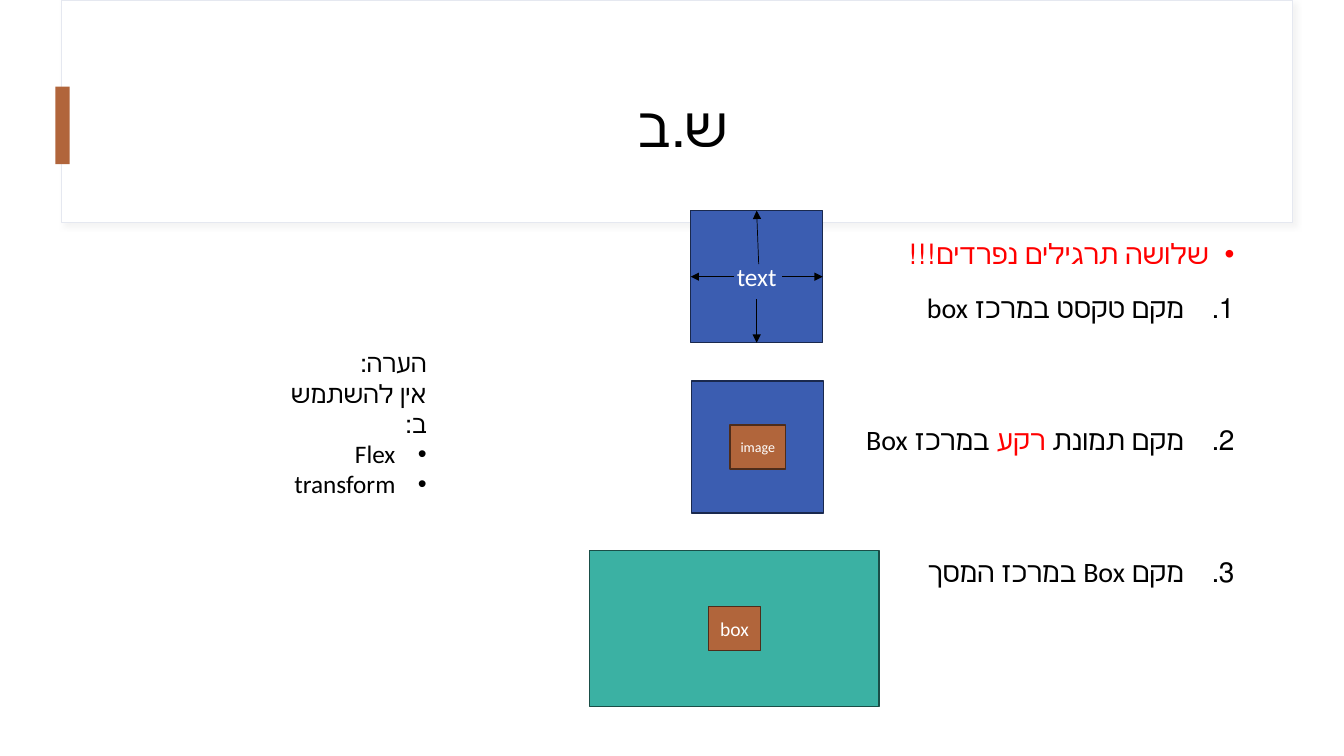
from lxml.etree import SubElement
from pptx import Presentation
from pptx.dml.color import RGBColor
from pptx.enum.shapes import MSO_CONNECTOR, MSO_SHAPE
from pptx.enum.text import MSO_ANCHOR, PP_ALIGN
from pptx.oxml.ns import qn
from pptx.util import Inches, Pt

COLORS = {
    "white": "FFFFFF", "black": "000000", "red": "FF0000",
    "frame": "E5E8F0", "shadow": "D9D9D9",
    "blue": "3B5DB1", "blue_edge": "1A294E",
    "brown": "B1653B", "brown_edge": "4E2C1A",
    "teal": "3BB1A3", "teal_edge": "1A4E47",
}


def color(name):
    return RGBColor.from_string(COLORS[name])


def format_runs(paragraph, size, color_name="black", font="Calibri"):
    for run in paragraph.runs:
        run.font.size = Pt(size)
        run.font.name = font
        run.font.color.rgb = color(color_name)


def set_rtl(paragraph, indent=0, bullet=None, number=None):
    """Right-to-left paragraph with an optional bullet or automatic number."""
    paragraph.alignment = PP_ALIGN.RIGHT
    properties = paragraph._p.get_or_add_pPr()
    properties.set("rtl", "1")
    if indent:
        properties.set("marL", str(Inches(indent)))
        properties.set("indent", str(Inches(-indent)))
    if bullet:
        SubElement(properties, qn("a:buFont"), typeface="Arial")
        SubElement(properties, qn("a:buChar"), char=bullet)
    elif number:
        SubElement(properties, qn("a:buAutoNum"), type=number)


def add_box(slide, box, fill, edge=None, text="", size=18, edge_width=1):
    shape = slide.shapes.add_shape(MSO_SHAPE.RECTANGLE, *map(Inches, box))
    shape.shadow.inherit = False
    shape.fill.solid()
    shape.fill.fore_color.rgb = color(fill)
    if edge:
        shape.line.color.rgb = color(edge)
        shape.line.width = Pt(edge_width)
    else:
        shape.line.fill.background()
    if text:
        frame = shape.text_frame
        frame.margin_left = frame.margin_right = 0
        frame.word_wrap = False
        frame.vertical_anchor = MSO_ANCHOR.MIDDLE
        frame.text = text
        paragraph = frame.paragraphs[0]
        paragraph.alignment = PP_ALIGN.CENTER
        format_runs(paragraph, size, "white")
    return shape


def add_text_frame(slide, box):
    frame = slide.shapes.add_textbox(*map(Inches, box)).text_frame
    frame.word_wrap = True
    return frame


def add_arrow(slide, start, end):
    points = [Inches(value) for value in (*start, *end)]
    arrow = slide.shapes.add_connector(MSO_CONNECTOR.STRAIGHT, *points)
    arrow.line.color.rgb = color("black")
    arrow.line.width = Pt(0.5)
    SubElement(arrow.line._get_or_add_ln(), qn("a:tailEnd"), type="triangle")
    SubElement(arrow._element.spPr, qn("a:effectLst"))


def add_header(slide, box):
    left, top, width, height = box
    # Card with a soft shadow
    card = add_box(slide, box, "white", "frame", edge_width=0.75)
    effects = card._element.spPr.find(qn("a:effectLst"))
    shadow = SubElement(effects, qn("a:outerShdw"), blurRad=str(Pt(4)),
                        dist=str(Pt(3)), dir=str(45 * 60000), rotWithShape="0")
    tint = SubElement(shadow, qn("a:srgbClr"), val=COLORS["shadow"])
    SubElement(tint, qn("a:alpha"), val="30000")
    # Accent bar on the left edge
    add_box(slide, (left - 0.06, top + 0.86, 0.14, 0.77), "brown")
    # Title
    frame = add_text_frame(slide, (left + 0.05 * width, top + 0.6, 0.91 * width, 1.29))
    frame.vertical_anchor = MSO_ANCHOR.MIDDLE
    frame.text = "ש.ב"
    paragraph = frame.paragraphs[0]
    paragraph.alignment = PP_ALIGN.CENTER
    format_runs(paragraph, 40, font="Lato")


def add_exercises(slide, box):
    frame = add_text_frame(slide, box)
    heading = frame.paragraphs[0]
    heading.text = "שלושה תרגילים נפרדים!!!"
    set_rtl(heading, 0.25, bullet="•")
    format_runs(heading, 20, "red")
    # Numbered tasks; the gaps leave room for the diagrams
    tasks = [
        (10, ["מקם טקסט במרכז box"]),
        (66, ["מקם תמונת ", "רקע", " במרכז Box"]),
        (66, ["מקם Box במרכז המסך"]),
    ]
    for gap, parts in tasks:
        paragraph = frame.add_paragraph()
        for part in parts:
            paragraph.add_run().text = part
        set_rtl(paragraph, 0.5, number="arabicPeriod")
        format_runs(paragraph, 20)
        paragraph.space_before = Pt(gap)
        if len(parts) > 1:
            paragraph.runs[1].font.color.rgb = color("red")
    heading.space_before = Pt(10)
    for paragraph in frame.paragraphs:
        paragraph.line_spacing = 1.18


def add_text_diagram(slide, box):
    left, top, width, height = box
    add_box(slide, box, "blue", "blue_edge", "text")
    center, middle = left + width / 2, top + height / 2
    # Arrows from the word to the four sides
    add_arrow(slide, (center + 0.02, top + 0.53), (center, top))
    add_arrow(slide, (center, top + 0.88), (center, top + height))
    add_arrow(slide, (left + 0.43, middle), (left, middle))
    add_arrow(slide, (left + 0.91, middle), (left + width, middle))


def add_nested_diagram(slide, box, fill, inner_width, text, size):
    left, top, width, height = box
    add_box(slide, box, fill, f"{fill}_edge")
    inner_height = 0.44
    inner = (left + (width - inner_width) / 2, top + (height - inner_height) / 2,
             inner_width, inner_height)
    add_box(slide, inner, "brown", "brown_edge", text, size)


def add_note(slide, box):
    frame = add_text_frame(slide, box)
    frame.margin_left = Inches(0.05)
    frame.text = "הערה:\vאין להשתמש ב:\nFlex\ntransform"
    for index, paragraph in enumerate(frame.paragraphs):
        if index:
            set_rtl(paragraph, 0.31, bullet="•")
        else:
            set_rtl(paragraph)
        format_runs(paragraph, 18)


def main():
    presentation = Presentation()
    presentation.slide_width = Inches(13.33)
    presentation.slide_height = Inches(7.5)
    slide = presentation.slides.add_slide(presentation.slide_layouts[6])

    add_header(slide, (0.61, 0, 12.21, 2.21))
    add_exercises(slide, (1.22, 2.24, 11.12, 4.54))
    add_text_diagram(slide, (6.85, 2.09, 1.31, 1.31))
    add_nested_diagram(slide, (6.86, 3.78, 1.31, 1.31), "blue", 0.55, "image", 10)
    add_nested_diagram(slide, (5.85, 5.46, 2.87, 1.55), "teal", 0.52, "box", 14)
    add_note(slide, (2.78, 3.4, 1.55, 1.6))

    presentation.save("out.pptx")


if __name__ == "__main__":
    main()
